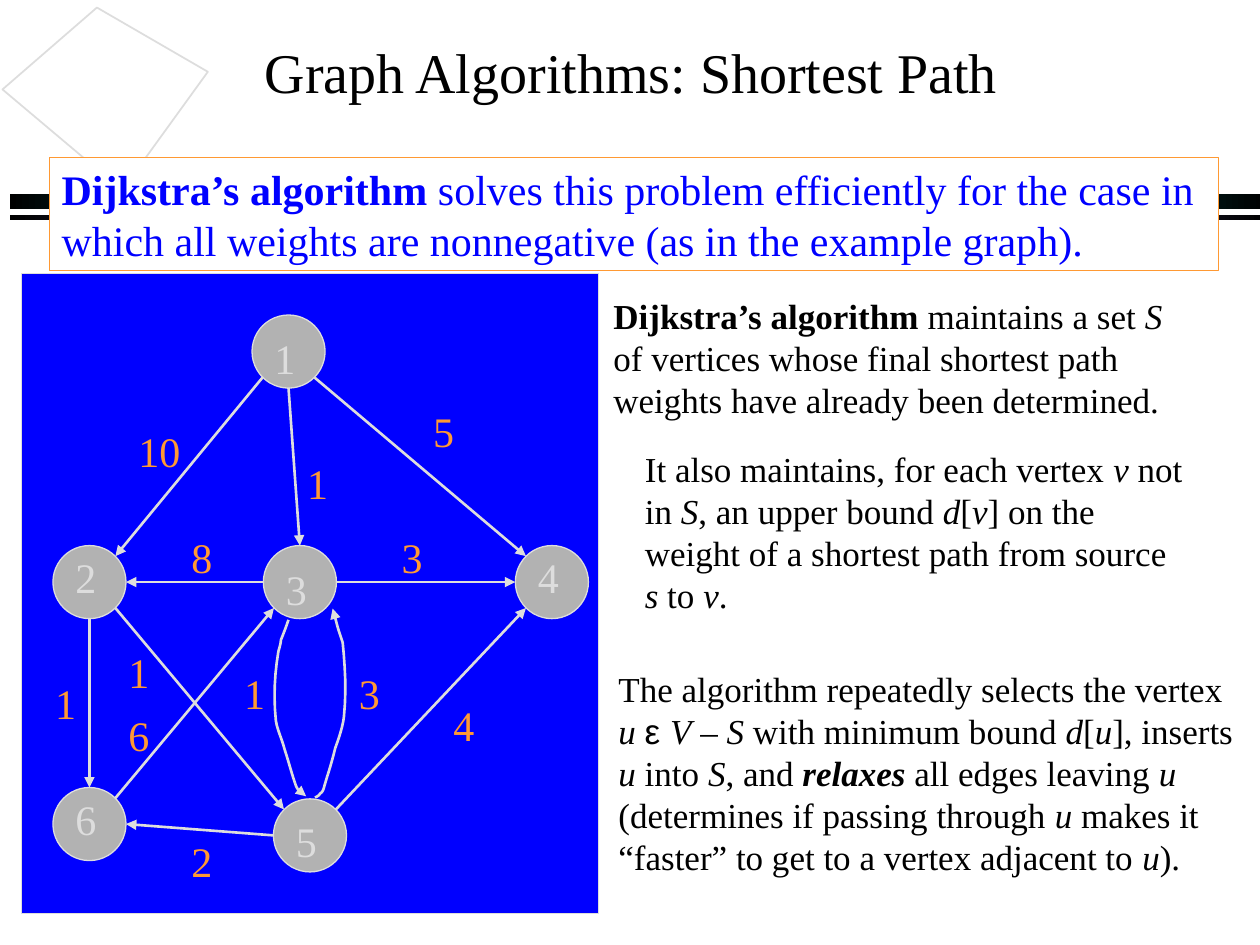
from copy import deepcopy
from typing import NamedTuple

from lxml.etree import SubElement
from pptx import Presentation
from pptx.dml.color import RGBColor
from pptx.enum.shapes import MSO_CONNECTOR as Connector, MSO_SHAPE as Shape
from pptx.enum.text import MSO_ANCHOR as Anchor, PP_ALIGN as Align
from pptx.oxml.ns import qn
from pptx.util import Inches, Pt

COLORS = {
    "white": "FFFFFF", "black": "000000", "blue": "0000FF", "orange": "FF9933",
    "teal": "00CCCC", "violet": "9999FF", "pale": "DDDDDD", "node": "B2B2B2",
}
SERIF = "Times New Roman"
DIAMETER = 0.58
DIAGONAL = 0.71  # share of the radius at 45 degrees
COMPASS = {
    "N": (0, -1), "S": (0, 1), "W": (-1, 0), "E": (1, 0),
    "NW": (-DIAGONAL, -DIAGONAL), "NE": (DIAGONAL, -DIAGONAL),
    "SW": (-DIAGONAL, DIAGONAL), "SE": (DIAGONAL, DIAGONAL),
}


class Vertex(NamedTuple):
    left: float
    top: float
    label_drop: float


class Edge(NamedTuple):
    source: str
    exit: str
    target: str
    entry: str


class Label(NamedTuple):
    text: str
    left: float
    top: float
    width: float = 0.36


class Span(NamedTuple):
    text: str
    bold: bool = False
    italic: bool = False
    font: str = SERIF


VERTICES = {
    "1": Vertex(2, 2.5, 0.09), "2": Vertex(0.42, 4.33, 0),
    "3": Vertex(2.09, 4.33, 0.09), "4": Vertex(4.09, 4.33, 0),
    "5": Vertex(2.17, 6.34, 0.08), "6": Vertex(0.42, 6.25, 0),
}
EDGES = [
    Edge("1", "SW", "2", "NE"), Edge("1", "S", "3", "N"), Edge("1", "SE", "4", "NW"),
    Edge("3", "W", "2", "E"), Edge("3", "E", "4", "W"), Edge("2", "S", "6", "N"),
    Edge("2", "SE", "5", "NW"), Edge("5", "W", "6", "E"), Edge("6", "NE", "3", "SW"),
    Edge("5", "NE", "4", "SW"),
]
WEIGHTS = [
    Label("10", 1, 3.33, 0.53), Label("1", 2.34, 3.58), Label("5", 3.34, 3.17),
    Label("4", 3.5, 5.5), Label("3", 3.09, 4.17), Label("3", 2.75, 5.25),
    Label("1", 1.84, 5.25), Label("2", 1.42, 6.58), Label("6", 0.92, 5.58),
    Label("1", 0.34, 5.33), Label("1", 0.92, 5.08), Label("8", 1.42, 4.17),
]
# Bezier chains: a start point, then two controls and an end per curve
THREE_TO_FIVE = [
    (2.29, 4.92), (2.27, 4.98), (2.25, 5.03), (2.23, 5.08), (2.23, 5.11), (2.21, 5.17),
    (2.21, 5.17), (2.18, 5.35), (2.17, 5.53), (2.19, 5.72), (2.2, 5.79), (2.24, 5.87),
    (2.26, 5.95), (2.29, 6.04), (2.31, 6.12), (2.34, 6.21), (2.35, 6.24), (2.36, 6.27),
    (2.39, 6.29), (2.4, 6.3), (2.43, 6.32), (2.43, 6.32),
]
FIVE_TO_THREE = [
    (2.64, 4.83), (2.66, 4.89), (2.67, 4.95), (2.69, 5.01), (2.7, 5.04), (2.72, 5.1),
    (2.72, 5.1), (2.74, 5.3), (2.75, 5.48), (2.73, 5.69), (2.72, 5.77), (2.69, 5.86),
    (2.66, 5.94), (2.64, 6.03), (2.61, 6.12), (2.58, 6.22), (2.57, 6.25), (2.57, 6.28),
    (2.54, 6.3), (2.53, 6.32), (2.5, 6.33), (2.5, 6.33),
][::-1]


def rgb(name: str) -> RGBColor:
    return RGBColor.from_string(COLORS[name])


def style_line(line, color: str, width: float) -> None:
    line.color.rgb = rgb(color)
    line.width = Pt(width)


def add_arrowhead(shape) -> None:
    SubElement(shape.line._get_or_add_ln(), qn("a:tailEnd"), type="triangle")


def add_filled(slide, kind, box: tuple, fill: str, line: str, width: float):
    shape = slide.shapes.add_shape(kind, *map(Inches, box))
    shape.shadow.inherit = False
    shape.fill.solid()
    shape.fill.fore_color.rgb = rgb(fill)
    style_line(shape.line, line, width)
    return shape


def add_bar(slide, top: float, height: float, middle: str) -> None:
    bar = slide.shapes.add_shape(Shape.RECTANGLE, *map(Inches, (0.08, top, 9.99, height)))
    bar.shadow.inherit = False
    bar.line.fill.background()
    bar.fill.gradient()
    bar.fill.gradient_angle = 180
    stop_list = bar._element.spPr.find(".//" + qn("a:gsLst"))
    stop_list.insert(1, deepcopy(stop_list[0]))
    for stop, place, color in zip(bar.fill.gradient_stops, (0, 0.5, 1),
                                  ("black", middle, "black")):
        stop.position = place
        stop.color.rgb = rgb(color)


def add_outline(slide, points: list, close: bool, width: float):
    corners = [(Inches(x), Inches(y)) for x, y in points]
    builder = slide.shapes.build_freeform(*corners[0])
    builder.add_line_segments(corners[1:], close=close)
    outline = builder.convert_to_shape()
    outline.shadow.inherit = False
    style_line(outline.line, "pale", width)
    return outline


def add_curved_edge(slide, chain: list, steps: int = 6) -> None:
    points = [chain[0]]
    for first in range(0, len(chain) - 1, 3):
        curve = chain[first:first + 4]
        for step in range(1, steps + 1):
            t = step / steps
            shares = ((1 - t) ** 3, 3 * t * (1 - t) ** 2, 3 * t * t * (1 - t), t ** 3)
            points.append(tuple(sum(s * p[axis] for s, p in zip(shares, curve))
                                for axis in (0, 1)))
    edge = add_outline(slide, points, False, 1.5)
    edge.fill.background()
    add_arrowhead(edge)


def rim_point(vertex: Vertex, side: str) -> tuple:
    radius = DIAMETER / 2
    dx, dy = COMPASS[side]
    return Inches(vertex.left + radius * (1 + dx)), Inches(vertex.top + radius * (1 + dy))


def add_edge(slide, edge: Edge) -> None:
    start = rim_point(VERTICES[edge.source], edge.exit)
    end = rim_point(VERTICES[edge.target], edge.entry)
    arrow = slide.shapes.add_connector(Connector.STRAIGHT, *start, *end)
    style_line(arrow.line, "pale", 1.5)
    add_arrowhead(arrow)
    SubElement(arrow._element.spPr, qn("a:effectLst"))


def write(frame, paragraphs: list, size: float, color: str, wrap: bool = True) -> None:
    frame.word_wrap = wrap
    frame.vertical_anchor = Anchor.TOP
    for index, spans in enumerate(paragraphs):
        paragraph = frame.add_paragraph() if index else frame.paragraphs[0]
        paragraph.alignment = Align.LEFT
        for span in spans:
            run = paragraph.add_run()
            run.text = span.text
            run.font.name, run.font.size = span.font, Pt(size)
            run.font.bold, run.font.italic = span.bold, span.italic
            run.font.color.rgb = rgb(color)


def add_text(slide, box: tuple, paragraphs: list) -> None:
    write(slide.shapes.add_textbox(*map(Inches, box)).text_frame, paragraphs, 20, "black")


def add_label(slide, label: Label, color: str) -> None:
    box = slide.shapes.add_textbox(*map(Inches, (label.left, label.top, label.width, 0.5)))
    write(box.text_frame, [[Span(label.text)]], 24, color, wrap=False)


def italic(text: str) -> Span:
    return Span(text, italic=True)


def main() -> None:
    deck = Presentation()
    deck.slide_width, deck.slide_height = Inches(10), Inches(7.5)
    slide = deck.slides.add_slide(deck.slide_layouts[5])

    # Title and background decoration
    title = slide.shapes.title
    title.left, title.top, title.width, title.height = map(Inches, (2, 0.25, 6.04, 0.64))
    write(title.text_frame, [[Span("Graph Algorithms: Shortest Path")]], 32, "black", False)
    add_bar(slide, 1.54, 0.12, "teal")
    add_bar(slide, 1.71, 0.04, "violet")
    kite = add_outline(slide, [(0.97, 1.51), (0.02, 0.71), (0.77, 0.06), (1.65, 0.57)], True, 1)
    kite.fill.solid()
    kite.fill.fore_color.rgb = rgb("white")

    # Weighted graph
    add_filled(slide, Shape.RECTANGLE, (0.17, 2.17, 4.58, 5.08), "blue", "pale", 1)
    for vertex in VERTICES.values():
        add_filled(slide, Shape.OVAL, (vertex.left, vertex.top, DIAMETER, DIAMETER),
                   "node", "pale", 0.75)
    for edge in EDGES:
        add_edge(slide, edge)
    for chain in (THREE_TO_FIVE, FIVE_TO_THREE):
        add_curved_edge(slide, chain)
    for number, vertex in VERTICES.items():
        add_label(slide, Label(number, vertex.left + 0.08, vertex.top + vertex.label_drop), "pale")
    for weight in WEIGHTS:
        add_label(slide, weight, "orange")

    # Explanation
    add_text(slide, (4.77, 2.29, 4.8, 1.1), [[
        Span("Dijkstra’s algorithm ", bold=True), Span("maintains a set "), italic("S"),
        Span(" of vertices whose final shortest path weights have already been determined.")]])
    add_text(slide, (5.02, 3.5, 4.5, 1.44), [[
        Span("It also maintains, for each vertex "), italic("v"), Span(" not in "), italic("S"),
        Span(", an upper bound "), italic("d"), Span("["), italic("v"),
        Span("] on the weight of a shortest path from source "), italic("s"), Span(" to "),
        italic("v"), Span(".")]])
    banner = add_filled(slide, Shape.RECTANGLE, (0.39, 1.25, 9.28, 0.9), "white", "orange", 0.75)
    write(banner.text_frame, [[
        Span("Dijkstra’s algorithm", bold=True),
        Span(" solves this problem efficiently for the case in which all weights are "
             "nonnegative (as in the example graph).")]], 24, "blue")
    add_text(slide, (4.81, 5.25, 5.19, 1.77), [
        [Span("The algorithm repeatedly selects the vertex")],
        [italic("u "), Span("ε ", font="Arial"), italic("V"), Span(" – "), italic("S "),
         Span("with minimum bound "), italic("d"), Span("["), italic("u"), Span("], inserts "),
         italic("u"), Span(" into "), italic("S"), Span(", and "), Span("relaxes", True, True),
         Span(" all edges leaving "), italic("u"), Span(" (determines if passing through "),
         italic("u"), Span(" makes it “faster” to get to a vertex adjacent to "),
         italic("u"), Span(").")]])

    deck.save("out.pptx")


if __name__ == "__main__":
    main()
